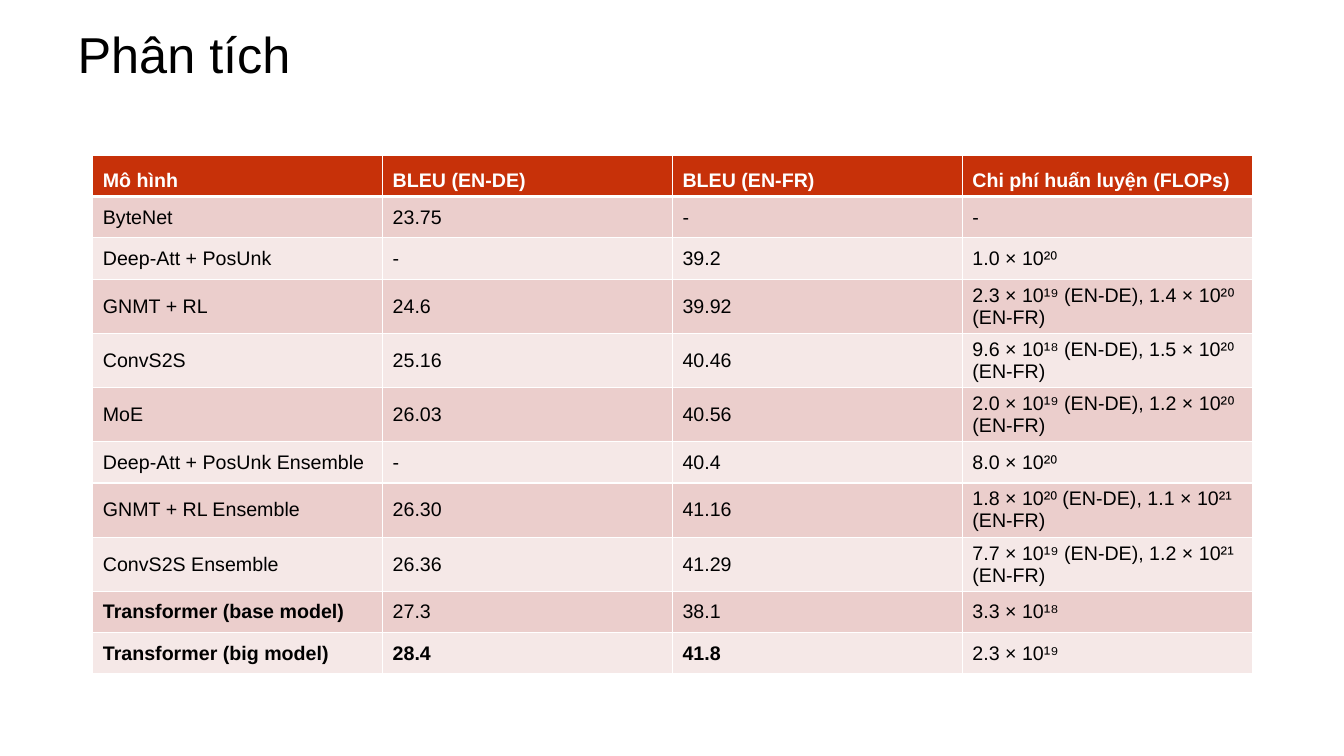
from lxml.etree import SubElement
from pptx import Presentation
from pptx.dml.color import RGBColor
from pptx.enum.text import MSO_ANCHOR, PP_ALIGN
from pptx.oxml.ns import qn
from pptx.util import Inches, Pt

TITLE = "Phân tích"
HEADER = ("Mô hình", "BLEU (EN-DE)", "BLEU (EN-FR)", "Chi phí huấn luyện (FLOPs)")
MODELS = [
    ("ByteNet", "23.75", "-", "-"),
    ("Deep-Att + PosUnk", "-", "39.2", "1.0 × 10²⁰"),
    ("GNMT + RL", "24.6", "39.92", "2.3 × 10¹⁹ (EN-DE), 1.4 × 10²⁰ (EN-FR)"),
    ("ConvS2S", "25.16", "40.46", "9.6 × 10¹⁸ (EN-DE), 1.5 × 10²⁰ (EN-FR)"),
    ("MoE", "26.03", "40.56", "2.0 × 10¹⁹ (EN-DE), 1.2 × 10²⁰ (EN-FR)"),
    ("Deep-Att + PosUnk Ensemble", "-", "40.4", "8.0 × 10²⁰"),
    ("GNMT + RL Ensemble", "26.30", "41.16", "1.8 × 10²⁰ (EN-DE), 1.1 × 10²¹ (EN-FR)"),
    ("ConvS2S Ensemble", "26.36", "41.29", "7.7 × 10¹⁹ (EN-DE), 1.2 × 10²¹ (EN-FR)"),
    ("Transformer (base model)", "27.3", "38.1", "3.3 × 10¹⁸"),
    ("Transformer (big model)", "28.4", "41.8", "2.3 × 10¹⁹"),
]
BOLD = {"Transformer (base model)", "Transformer (big model)", "28.4", "41.8", *HEADER}

FONT = "Arial"
BLACK, WHITE = "000000", "FFFFFF"
HEADER_FILL = "C73109"
BAND_FILLS = ("EBCECC", "F5E8E7")
LEFT, TOP, WIDTH, ROW_HEIGHT = 0.92, 1.54, 11.5, 0.41


def rgb(color):
    return RGBColor.from_string(color)


def add_run(paragraph, text, size, color, bold=False):
    run = paragraph.add_run()
    run.text = text
    run.font.name = FONT
    run.font.size = Pt(size)
    run.font.bold = bold
    run.font.color.rgb = rgb(color)


def set_borders(cell, top, bottom):
    """Draw white cell edges; top and bottom are widths in points."""
    properties = cell._tc.get_or_add_tcPr()
    for edge, width in (("L", 1), ("R", 1), ("T", top), ("B", bottom)):
        line = SubElement(properties, qn(f"a:ln{edge}"), w=str(Pt(width)))
        fill = SubElement(line, qn("a:solidFill"))
        SubElement(fill, qn("a:srgbClr"), val=WHITE)


def add_title(slide):
    title = slide.shapes.title
    title.left, title.top = Inches(0.67), Inches(0.21)
    title.width, title.height = Inches(12), Inches(0.64)
    frame = title.text_frame
    frame.vertical_anchor = MSO_ANCHOR.MIDDLE
    frame.paragraphs[0].alignment = PP_ALIGN.LEFT
    add_run(frame.paragraphs[0], TITLE, 36, BLACK)


def add_results(slide):
    rows = [HEADER, *MODELS]
    results = slide.shapes.add_table(
        len(rows), len(HEADER), Inches(LEFT), Inches(TOP),
        Inches(WIDTH), Inches(ROW_HEIGHT * len(rows))).table
    for r, row in enumerate(rows):
        is_header = r == 0
        for c, text in enumerate(row):
            cell = results.cell(r, c)
            set_borders(cell, top=3 if r == 1 else 1, bottom=3 if is_header else 1)
            cell.fill.solid()
            cell.fill.fore_color.rgb = rgb(HEADER_FILL if is_header else BAND_FILLS[(r - 1) % 2])
            cell.vertical_anchor = MSO_ANCHOR.BOTTOM if is_header else MSO_ANCHOR.MIDDLE
            add_run(cell.text_frame.paragraphs[0], text, 14,
                    WHITE if is_header else BLACK, text in BOLD)


def main():
    deck = Presentation()
    deck.slide_width, deck.slide_height = Inches(13.33), Inches(7.5)
    slide = deck.slides.add_slide(deck.slide_layouts[5])
    add_title(slide)
    add_results(slide)
    deck.save("out.pptx")


if __name__ == "__main__":
    main()
